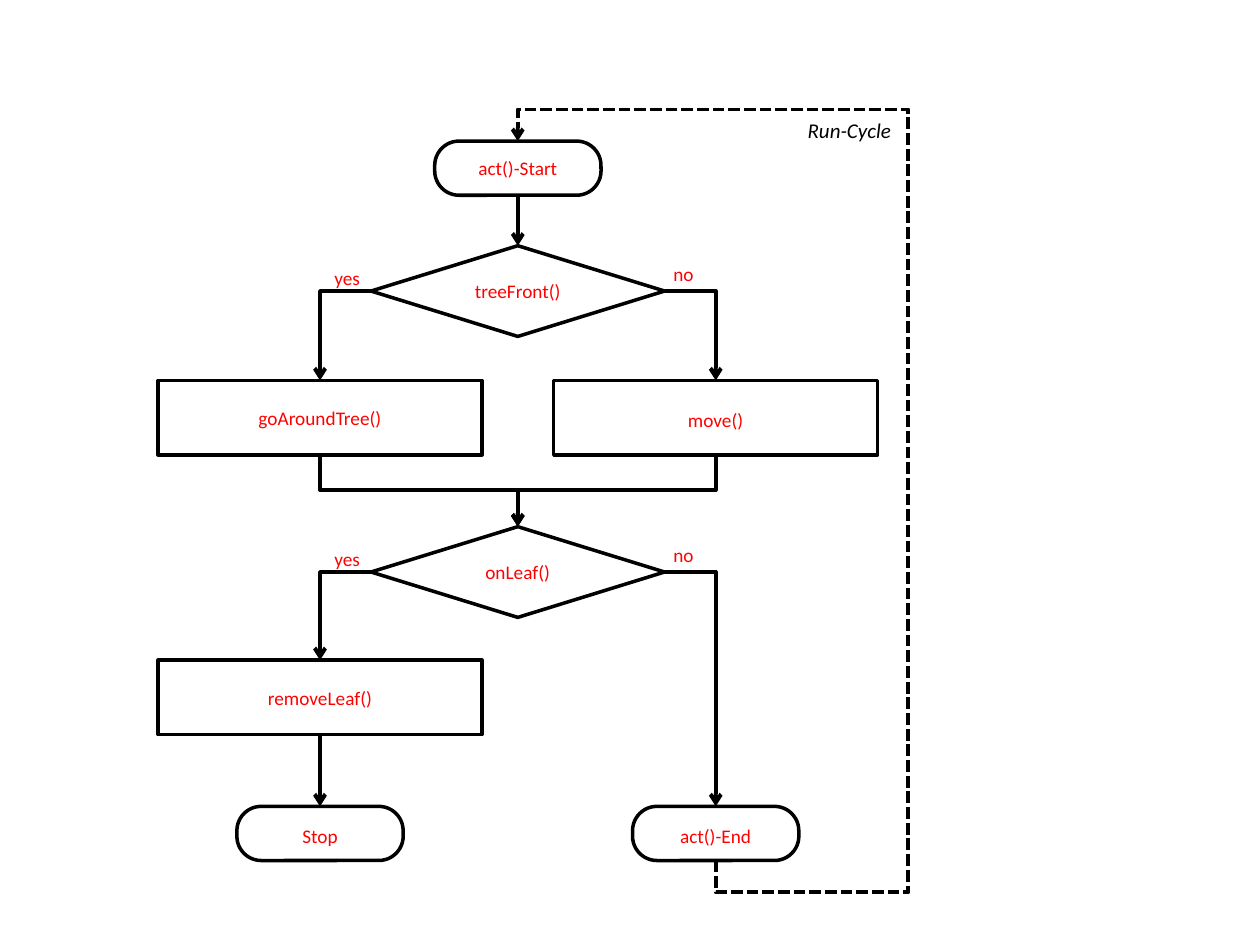
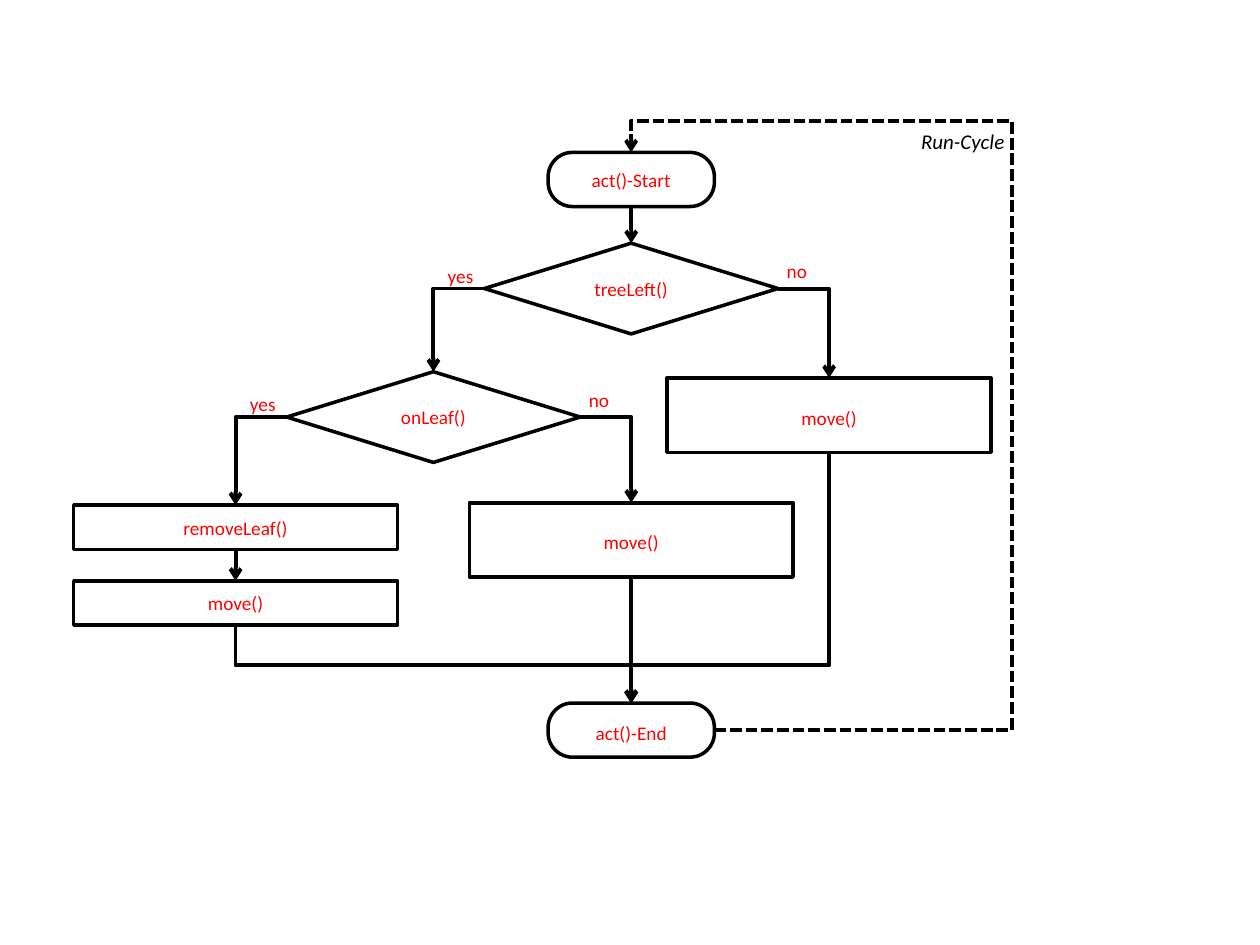
from dataclasses import dataclass

from lxml.etree import SubElement
from pptx import Presentation
from pptx.dml.color import RGBColor
from pptx.enum.dml import MSO_LINE
from pptx.enum.shapes import MSO_CONNECTOR, MSO_SHAPE
from pptx.enum.text import MSO_ANCHOR, PP_ALIGN
from pptx.oxml.ns import qn
from pptx.util import Inches, Pt

RED = RGBColor(0xFF, 0x00, 0x00)
BLACK = RGBColor(0x00, 0x00, 0x00)
WHITE = RGBColor(0xFF, 0xFF, 0xFF)
FONT = "Calibri"
LEFT, CENTER, RIGHT = PP_ALIGN.LEFT, PP_ALIGN.CENTER, PP_ALIGN.RIGHT
TOP, MIDDLE = MSO_ANCHOR.TOP, MSO_ANCHOR.MIDDLE
STRAIGHT, ELBOW = MSO_CONNECTOR.STRAIGHT, MSO_CONNECTOR.ELBOW
DASHED = MSO_LINE.SQUARE_DOT
COLUMN_PITCH = 1.57
LOOP_GAP = 0.25

Point = tuple[float, float]


@dataclass(frozen=True)
class Kind:
    preset: MSO_SHAPE
    width: float
    height: float
    inset: bool = True


TERMINAL = Kind(MSO_SHAPE.ROUNDED_RECTANGLE, 1.32, 0.43)
DECISION = Kind(MSO_SHAPE.FLOWCHART_DECISION, 2.33, 0.72, inset=False)
PROCESS = Kind(MSO_SHAPE.RECTANGLE, 2.57, 0.59)
STEP = Kind(MSO_SHAPE.RECTANGLE, 2.57, 0.35)


@dataclass(frozen=True)
class Node:
    kind: Kind
    text: str
    center: float
    top: float
    spacing: float = 1.0

    @property
    def left(self) -> float:
        return self.center - self.kind.width / 2

    @property
    def above(self) -> Point:
        return self.center, self.top

    @property
    def below(self) -> Point:
        return self.center, self.top + self.kind.height

    def side(self, direction: int) -> Point:
        return (self.center + direction * self.kind.width / 2,
                self.top + self.kind.height / 2)


def write(shape, text: str, *, size: float = 11, color: RGBColor = RED,
          italic: bool = False, align: PP_ALIGN = LEFT,
          anchor: MSO_ANCHOR = TOP, spacing: float = 1.0, inset: bool = True) -> None:
    frame = shape.text_frame
    frame.word_wrap = True
    frame.vertical_anchor = anchor
    if not inset:
        frame.margin_left = frame.margin_right = 0
        frame.margin_top = frame.margin_bottom = 0
    paragraph = frame.paragraphs[0]
    paragraph.alignment = align
    paragraph.line_spacing = spacing
    run = paragraph.add_run()
    run.text = text
    run.font.name = FONT
    run.font.size = Pt(size)
    run.font.italic = italic
    run.font.color.rgb = color


def add_label(slide, text: str, left: float, top: float, width: float,
              height: float, **text_format) -> None:
    label = slide.shapes.add_textbox(*map(Inches, (left, top, width, height)))
    write(label, text, **text_format)


def add_node(slide, node: Node) -> None:
    kind = node.kind
    shape = slide.shapes.add_shape(
        kind.preset, *map(Inches, (node.left, node.top, kind.width, kind.height)))
    shape.shadow.inherit = False
    shape.fill.solid()
    shape.fill.fore_color.rgb = WHITE
    shape.line.color.rgb = BLACK
    shape.line.width = Pt(2)
    if kind is TERMINAL:
        shape.adjustments[0] = 0.45
    write(shape, node.text, align=CENTER, anchor=MIDDLE,
          spacing=node.spacing, inset=kind.inset)
    if kind is DECISION:
        add_label(slide, "no", node.left + 2.3, node.top + 0.08, 0.52, 0.3)
        add_label(slide, "yes", node.left - 0.39, node.top + 0.08, 0.52, 0.3, spacing=1.2)


def add_arrow(slide, start: Point, end: Point, *, bends: int = 0,
              adjustments: tuple[float, ...] = (), upright: bool = False,
              dashed: bool = False) -> None:
    rotation = 0
    if upright:
        leftward, downward = end[0] < start[0], end[1] > start[1]
        rotation = 90 if leftward else 270
        middle_x, middle_y = (start[0] + end[0]) / 2, (start[1] + end[1]) / 2
        half_width, half_height = abs(end[1] - start[1]) / 2, abs(end[0] - start[0]) / 2
        if leftward != downward:
            half_width = -half_width
        start = middle_x - half_width, middle_y - half_height
        end = middle_x + half_width, middle_y + half_height
    connector = slide.shapes.add_connector(
        ELBOW if bends else STRAIGHT, *map(Inches, (*start, *end)))
    properties = connector._element.spPr
    if rotation:
        properties.find(qn("a:xfrm")).set("rot", str(rotation * 60000))
    if bends:
        geometry = properties.find(qn("a:prstGeom"))
        geometry.set("prst", f"bentConnector{bends + 1}")
        guides = geometry.find(qn("a:avLst"))
        for number, value in enumerate(adjustments, 1):
            SubElement(guides, qn("a:gd"), name=f"adj{number}",
                       fmla=f"val {round(value * 100000)}")
    connector.line.color.rgb = BLACK
    connector.line.width = Pt(2.25)
    if dashed:
        connector.line.dash_style = DASHED
    SubElement(properties.find(qn("a:ln")), qn("a:tailEnd"), type="arrow")
    SubElement(properties, qn("a:effectLst"))


def add_step(slide, source: Node, target: Node) -> None:
    add_arrow(slide, source.below, target.above)


def add_branches(slide, decision: Node, yes: Node, no: Node) -> None:
    for direction, target in ((-1, yes), (1, no)):
        add_arrow(slide, decision.side(direction), target.above, bends=1)


def add_merge(slide, source: Node, target: Node, bus: float) -> None:
    start, end = source.below, target.above
    share = (bus - start[1]) / (end[1] - start[1])
    add_arrow(slide, start, end, bends=2, adjustments=(share,), upright=True)


def add_run_cycle(slide, finish: Node, start: Node, lane: float, from_side: bool) -> None:
    begin = finish.side(1) if from_side else finish.below
    end = start.above
    gap = LOOP_GAP / (begin[1] - end[1])
    lane_share = (lane - begin[0]) / (end[0] - begin[0])
    if from_side:
        add_arrow(slide, begin, end, bends=3, adjustments=(lane_share, 1 + gap), dashed=True)
    else:
        add_arrow(slide, begin, end, bends=4, adjustments=(-gap, lane_share, 1 + gap),
                  upright=True, dashed=True)
    add_label(slide, "Run-Cycle", start.center + 1.13, start.top - 0.24, 1.93, 0.37,
              size=12, color=BLACK, italic=True, align=RIGHT)


def build_tree_front(slide) -> None:
    left, middle, right = (2.54 + COLUMN_PITCH * column for column in range(3))
    start = Node(TERMINAL, "act()-Start", middle, 1.12)
    tree = Node(DECISION, "treeFront()", middle, 1.95)
    around = Node(PROCESS, "goAroundTree()", left, 3.02)
    move = Node(PROCESS, "move()", right, 3.02, 1.2)
    leaf = Node(DECISION, "onLeaf()", middle, 4.18)
    remove = Node(PROCESS, "removeLeaf()", left, 5.24)
    stop = Node(TERMINAL, "Stop", left, 6.4, 1.2)
    finish = Node(TERMINAL, "act()-End", right, 6.4, 1.2)
    for node in (start, tree, around, move, leaf, remove, stop, finish):
        add_node(slide, node)
    add_step(slide, start, tree)
    add_branches(slide, tree, around, move)
    for source in (around, move):
        add_merge(slide, source, leaf, bus=3.89)
    add_branches(slide, leaf, remove, finish)
    add_step(slide, remove, stop)
    add_run_cycle(slide, finish, start, lane=7.21, from_side=False)


def build_tree_left(slide) -> None:
    first, second, third, fourth = (1.87 + COLUMN_PITCH * column for column in range(4))
    start = Node(TERMINAL, "act()-Start", third, 1.21)
    tree = Node(DECISION, "treeLeft()", third, 1.93)
    leaf = Node(DECISION, "onLeaf()", second, 2.95)
    move_right = Node(PROCESS, "move()", fourth, 3, 1.2)
    move_middle = Node(PROCESS, "move()", third, 3.99, 1.2)
    remove = Node(STEP, "removeLeaf()", first, 4.01)
    move_left = Node(STEP, "move()", first, 4.61)
    finish = Node(TERMINAL, "act()-End", third, 5.58, 1.2)
    for node in (start, tree, leaf, move_right, move_middle, remove, move_left, finish):
        add_node(slide, node)
    for source, target in ((start, tree), (remove, move_left), (move_middle, finish)):
        add_step(slide, source, target)
    add_branches(slide, tree, leaf, move_right)
    add_branches(slide, leaf, remove, move_middle)
    for source in (move_left, move_right):
        add_merge(slide, source, finish, bus=5.28)
    add_run_cycle(slide, finish, start, lane=8.03, from_side=True)


def main() -> None:
    presentation = Presentation()
    presentation.slide_width = Inches(10)
    presentation.slide_height = Inches(7.5)
    blank_layout = presentation.slide_layouts[6]
    for build in (build_tree_front, build_tree_left):
        build(presentation.slides.add_slide(blank_layout))
    presentation.save("out.pptx")


main()
